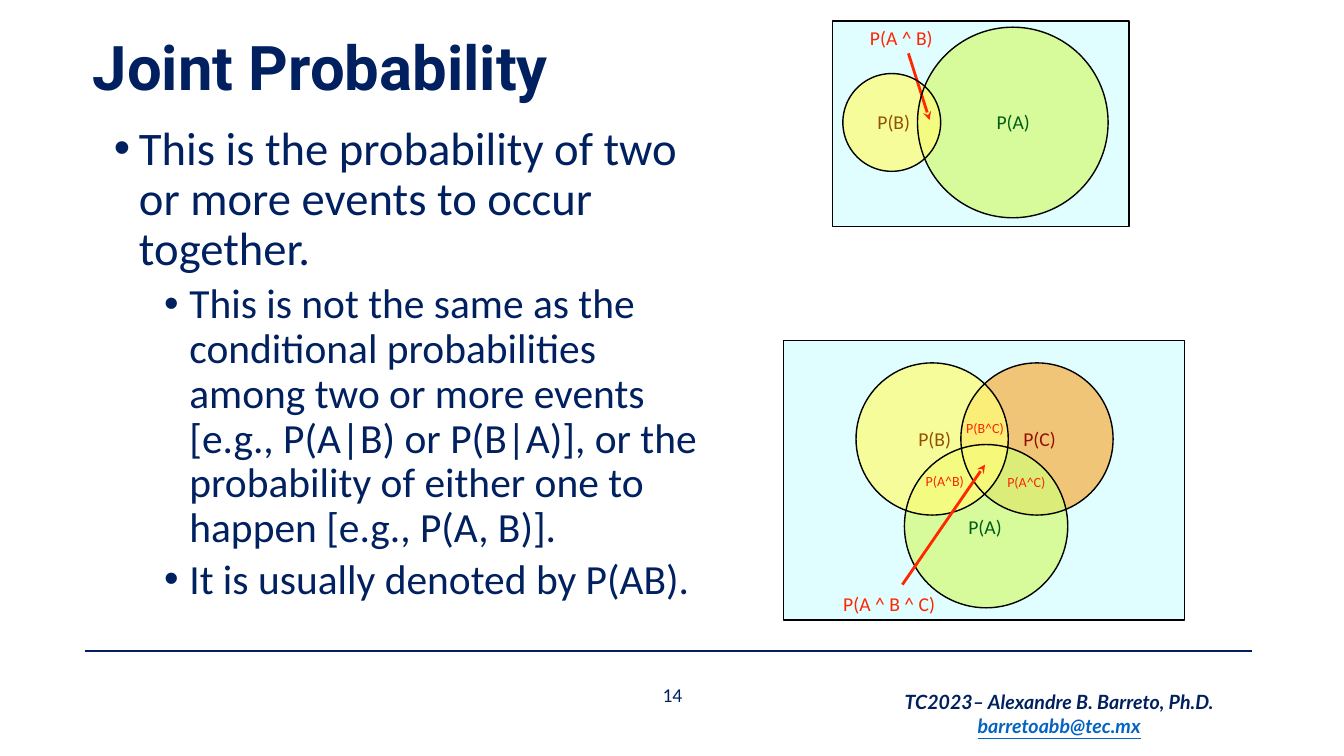
from dataclasses import dataclass

from pptx import Presentation
from pptx import util as u
from pptx.dml.color import RGBColor
from pptx.enum import shapes, text
from pptx.oxml.ns import qn
from lxml import etree


@dataclass(frozen=True)
class Theme:
    navy: str = "002060"
    link: str = "0563C1"
    black: str = "000000"
    red: str = "FF2600"
    green_text: str = "005D16"
    brown_text: str = "945200"
    maroon_text: str = "941100"
    cyan: str = "73FDFF"
    green: str = "D4FB79"
    yellow: str = "FFFC79"
    orange: str = "FF9300"
    title_font: str = "Roboto"
    body_font: str = "Calibri"
    footer_font: str = "Lato"
    title_size: float = 44
    body_sizes: tuple = (33.3, 29.6)
    label_size: float = 14
    small_size: float = 10


class SlideBuilder:
    def __init__(self, prs, theme):
        self.theme = theme
        self.s = prs.slides.add_slide(prs.slide_layouts[5])

    def style(self, p, size, color, font=None, **flags):
        for r in p.runs:
            r.font.size = u.Pt(size)
            r.font.name = font or self.theme.body_font
            r.font.color.rgb = RGBColor.from_string(color)
            for name, value in flags.items():
                setattr(r.font, name, value)

    def title(self, words, box):
        sp = self.s.shapes.title
        sp.left, sp.top, sp.width, sp.height = map(u.Inches, box)
        tf = sp.text_frame
        tf.text = words
        tf.auto_size = text.MSO_AUTO_SIZE.NONE
        tf.vertical_anchor = text.MSO_ANCHOR.MIDDLE
        p = tf.paragraphs[0]
        p.alignment = text.PP_ALIGN.LEFT
        p.line_spacing = 0.9
        self.style(p, self.theme.title_size, self.theme.navy, self.theme.title_font, bold=True)

    def textbox(self, words, box, wrap=True):
        tf = self.s.shapes.add_textbox(*map(u.Inches, box)).text_frame
        tf.word_wrap = wrap
        tf.text = words
        return tf

    def bullets(self, items, box):
        tf = self.textbox("\n".join(words for _, words in items), box)
        for i, (p, (level, _)) in enumerate(zip(tf.paragraphs, items)):
            p.level = level
            pPr = p._p.get_or_add_pPr()
            pPr.set("marL", str(u.Inches(0.25 + 0.5 * level)))
            pPr.set("indent", str(u.Inches(-0.25)))
            etree.SubElement(pPr, qn("a:buFont"), typeface="Arial")
            etree.SubElement(pPr, qn("a:buChar"), char="•")
            p.line_spacing = 0.9
            if i:
                p.space_before = u.Pt(5)
            self.style(p, self.theme.body_sizes[level], self.theme.navy)

    def label(self, words, box, color, size=None):
        tf = self.textbox(words, box, wrap=False)
        tf.margin_left = tf.margin_right = tf.margin_top = tf.margin_bottom = u.Inches(0.04)
        tf.vertical_anchor = text.MSO_ANCHOR.MIDDLE
        p = tf.paragraphs[0]
        p.alignment = text.PP_ALIGN.CENTER
        self.style(p, size or self.theme.label_size, color)

    def shape(self, kind, box, fill=None, opacity=100, outlined=False):
        sp = self.s.shapes.add_shape(kind, *map(u.Inches, box))
        sp.shadow.inherit = False
        if fill:
            sp.fill.solid()
            sp.fill.fore_color.rgb = RGBColor.from_string(fill)
            color = sp._element.spPr.find(qn("a:solidFill"))[0]
            etree.SubElement(color, qn("a:alpha"), val=str(opacity * 1000))
        else:
            sp.fill.background()
        if outlined:
            sp.line.color.rgb = RGBColor.from_string(self.theme.black)
            sp.line.width = u.Pt(1)
        else:
            sp.line.fill.background()

    def universe(self, box):
        self.shape(shapes.MSO_SHAPE.RECTANGLE, box, self.theme.cyan, 22, outlined=True)

    def disc(self, circle, fill, opacity=75):
        left, top, size = circle
        self.shape(shapes.MSO_SHAPE.OVAL, (left, top, size, size), fill, opacity)

    def ring(self, circle):
        left, top, size = circle
        self.shape(shapes.MSO_SHAPE.OVAL, (left, top, size, size), outlined=True)

    def line(self, start, end, color, width, arrow=False):
        cx = self.s.shapes.add_connector(
            shapes.MSO_CONNECTOR.STRAIGHT, *map(u.Inches, start + end))
        cx.line.color.rgb = RGBColor.from_string(color)
        cx.line.width = u.Pt(width)
        if arrow:
            etree.SubElement(cx.line._get_or_add_ln(), qn("a:headEnd"), type="stealth")
        etree.SubElement(cx._element.spPr, qn("a:effectLst"))


def main():
    prs = Presentation()
    prs.slide_width, prs.slide_height = u.Inches(13.33), u.Inches(7.5)
    t = Theme()
    b = SlideBuilder(prs, t)

    # Footer
    b.line((0.84, 6.46), (12.42, 6.46), t.navy, 1.5)
    number = b.textbox("14", (5.81, 6.79, 1.72, 0.2))
    number.vertical_anchor = text.MSO_ANCHOR.MIDDLE
    author = b.textbox("TC2023– Alexandre B. Barreto, Ph.D.\nbarretoabb@tec.mx",
                       (8.67, 6.8, 3.67, 0.57))
    for p in (*number.paragraphs, *author.paragraphs):
        p.alignment = text.PP_ALIGN.CENTER
    b.style(number.paragraphs[0], t.label_size, t.navy)
    name, email = author.paragraphs
    b.style(name, t.label_size, t.navy, t.footer_font, bold=True, italic=True)
    b.style(email, t.label_size, t.link, t.footer_font, bold=True, italic=True, underline=True)

    # Title and explanation
    b.title("Joint Probability", (0.82, 0.21, 11.33, 0.99))
    b.bullets([
        (0, "This is the probability of two or more events to occur together."),
        (1, "This is not the same as the conditional probabilities among two or more events "
            "[e.g., P(A|B) or P(B|A)], or the probability of either one to happen "
            "[e.g., P(A, B)]."),
        (1, "It is usually denoted by P(AB)."),
    ], (1.03, 1.19, 6.12, 5.22))

    # Two-event diagram
    event_a, event_b = (9.1, 0.27, 1.89), (8.36, 0.73, 0.97)
    b.universe((8.26, 0.21, 2.94, 2.04))
    b.disc(event_a, t.green)
    b.disc(event_b, t.yellow)
    b.label("P(A ^ B)", (8.56, 0.21, 0.76, 0.32), t.red)
    b.line((9.22, 1.19), (9.01, 0.53), t.red, 2, arrow=True)
    b.label("P(B)", (8.65, 1.05, 0.43, 0.32), t.brown_text)
    b.label("P(A)", (9.82, 1.05, 0.46, 0.32), t.green_text)
    for event in (event_a, event_b):
        b.ring(event)

    # Three-event diagram
    event_a, event_b, event_c = (8.97, 4.41, 1.62), (8.49, 3.6, 1.51), (9.53, 3.6, 1.51)
    b.universe((7.77, 3.38, 3.98, 2.77))
    b.disc(event_c, t.orange, 53)
    b.disc(event_a, t.green)
    b.label("P(A)", (9.47, 5.02, 0.6, 0.41), t.green_text)
    b.label("P(A ^ B ^ C)", (8.27, 5.83, 1.1, 0.32), t.red)
    b.disc(event_b, t.yellow)
    b.label("P(B)", (8.93, 4.11, 0.68, 0.49), t.brown_text)
    b.label("P(C)", (9.97, 4.11, 0.68, 0.49), t.maroon_text)
    for event in (event_c, event_b, event_a):
        b.ring(event)
    b.line((9.77, 4.61), (8.95, 5.8), t.red, 2, arrow=True)
    for words, left, top in (("P(A^B)", 9.1, 4.64), ("P(A^C)", 9.91, 4.65),
                             ("P(B^C)", 9.5, 4.12)):
        b.label(words, (left, top, 0.54, 0.26), t.red, t.small_size)

    prs.save("out.pptx")


if __name__ == "__main__":
    main()
